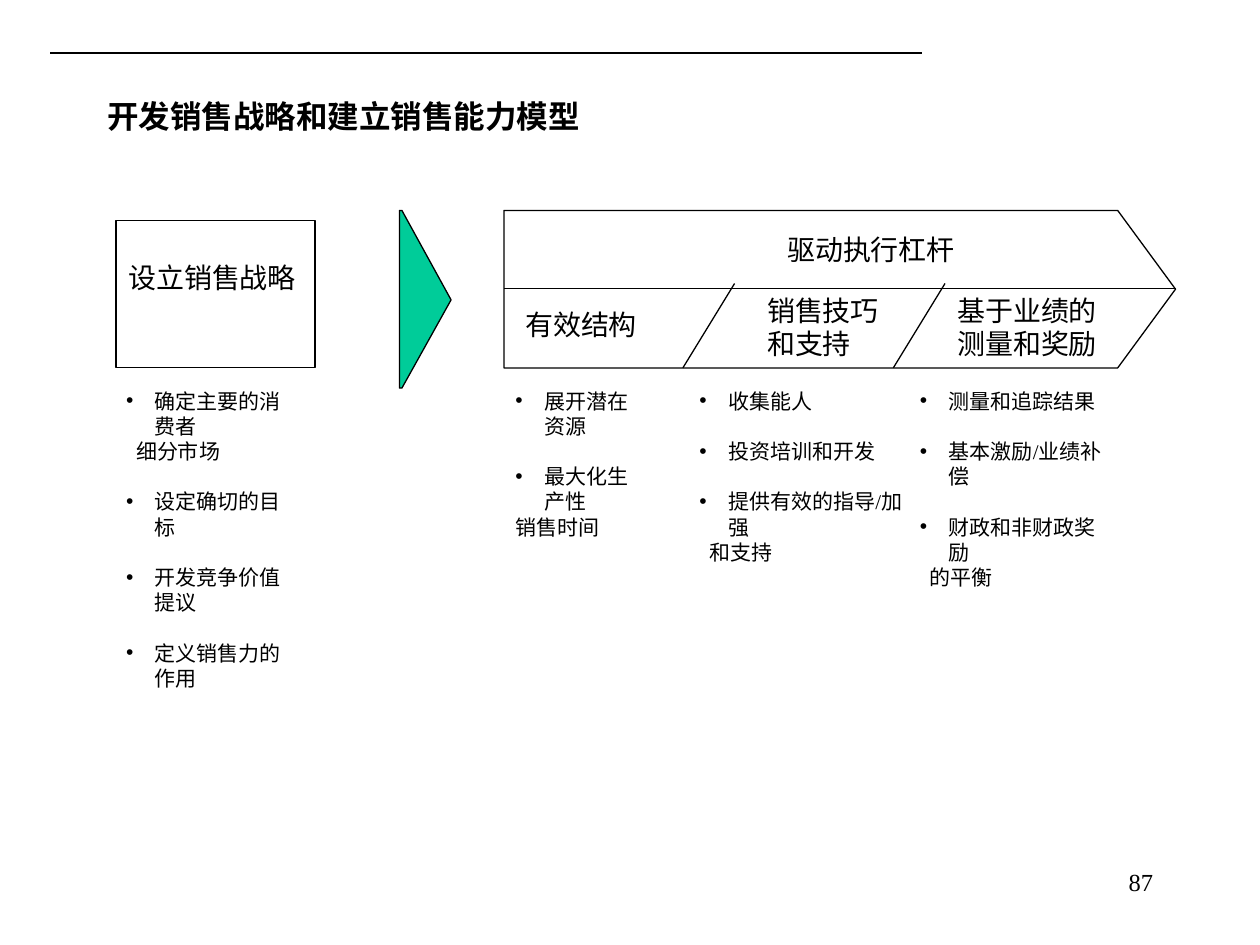
from dataclasses import dataclass

import pptx
import pptx.dml.color
import pptx.enum.shapes
import pptx.enum.text
import pptx.oxml.ns
import pptx.util
from lxml import etree

Inches, Pt = pptx.util.Inches, pptx.util.Pt
RGBColor = pptx.dml.color.RGBColor
MSO_SHAPE = pptx.enum.shapes.MSO_SHAPE
MSO_ANCHOR = pptx.enum.text.MSO_ANCHOR
PP_ALIGN = pptx.enum.text.PP_ALIGN
qn = pptx.oxml.ns.qn

BLACK = RGBColor(0x00, 0x00, 0x00)
GREEN = RGBColor(0x00, 0xCC, 0x99)
FONT = "Times New Roman"
LIST_TOP = 3.03
LIST_INDENT = 0.23


@dataclass
class Label:
    left: float
    top: float
    width: float
    height: float
    lines: list[str]


@dataclass
class BulletList:
    left: float
    width: float
    height: float
    items: list[tuple[str, str]]  # bullet text, continuation line
    hang: float = 0.08            # left margin of the continuation line


LABELS = [
    Label(6.15, 1.8, 1.6, 0.37, ["驱动执行杠杆"]),
    Label(4.07, 2.39, 1.15, 0.37, ["有效结构"]),
    Label(5.99, 2.28, 1.15, 0.64, ["销售技巧", "和支持"]),
    Label(7.5, 2.28, 1.4, 0.64, ["基于业绩的", "测量和奖励"]),
]
LISTS = [
    BulletList(0.9, 1.59, 2.5, [("确定主要的消费者", "细分市场"), ("设定确切的目标", ""),
                                ("开发竞争价值提议", ""), ("定义销售力的作用", "")]),
    BulletList(3.99, 1.26, 1.3, [("展开潜在资源", ""), ("最大化生产性", "销售时间")], hang=0),
    BulletList(5.45, 1.88, 1.5, [("收集能人", ""), ("投资培训和开发", ""),
                                 ("提供有效的指导/加强", "和支持")]),
    BulletList(7.2, 1.71, 1.7, [("测量和追踪结果", ""), ("基本激励/业绩补偿", ""),
                                ("财政和非财政奖励", "的平衡")]),
]


def place(sp, left: float, top: float, width: float, height: float) -> None:
    sp.left, sp.top = Inches(left), Inches(top)
    sp.width, sp.height = Inches(width), Inches(height)


def add_run(p, text: str, size: float, bold: bool = False) -> None:
    r = p.add_run()
    r.text = text
    r.font.name, r.font.size, r.font.bold = FONT, Pt(size), bold
    r.font.color.rgb = BLACK


def add_line(s, x1: float, y1: float, x2: float, y2: float, weight: float = 0.75) -> None:
    line = s.shapes.add_connector(pptx.enum.shapes.MSO_CONNECTOR.STRAIGHT,
                                  Inches(x1), Inches(y1), Inches(x2), Inches(y2))
    line.line.color.rgb, line.line.width = BLACK, Pt(weight)
    etree.SubElement(line._element.spPr, qn("a:effectLst"))


def outline(sp, fill: RGBColor | None = None) -> None:
    sp.shadow.inherit = False
    sp.line.color.rgb, sp.line.width = BLACK, Pt(0.75)
    if fill is None:
        sp.fill.background()
    else:
        sp.fill.solid()
        sp.fill.fore_color.rgb = fill


def add_label(s, label: Label, size: float = 16, align=PP_ALIGN.LEFT) -> None:
    sp = s.shapes.add_textbox(0, 0, 0, 0)
    place(sp, label.left, label.top, label.width, label.height)
    tf = sp.text_frame
    tf.word_wrap = True
    for i, text in enumerate(label.lines):
        p = tf.add_paragraph() if i else tf.paragraphs[0]
        p.alignment = align
        add_run(p, text, size)


def format_item(p, bullet: bool, margin: float, before: float) -> None:
    pPr = p._p.get_or_add_pPr()
    pPr.set("marL", str(Inches(margin)))
    pPr.set("indent", str(Inches(-margin if bullet else 0)))
    if bullet:
        etree.SubElement(pPr, qn("a:buChar")).set("char", "•")
    else:
        etree.SubElement(pPr, qn("a:buNone"))
    p.alignment = PP_ALIGN.LEFT
    p.space_before = Pt(before)


def fill_list(sp, column: BulletList) -> None:
    place(sp, column.left, LIST_TOP, column.width, column.height)
    tf = sp.text_frame
    tf.word_wrap = True
    tf.auto_size = pptx.enum.text.MSO_AUTO_SIZE.NONE
    tf.vertical_anchor = MSO_ANCHOR.TOP
    for i, (text, continuation) in enumerate(column.items):
        p = tf.add_paragraph() if i else tf.paragraphs[0]
        format_item(p, True, LIST_INDENT, 14.4 if i else 0)
        add_run(p, text, 12)
        if continuation:
            p = tf.add_paragraph()
            format_item(p, False, column.hang, 0)
            add_run(p, continuation, 12)


def main() -> None:
    prs = pptx.Presentation()
    prs.slide_width, prs.slide_height = Inches(10), Inches(7.5)
    s = prs.slides.add_slide(prs.slide_layouts.get_by_name("Comparison"))

    # Header rule and title
    add_line(s, 0.4, 0.42, 7.32, 0.42, 1.5)
    title = s.shapes.title
    place(title, 0.75, 0.42, 8.5, 1)
    title.text_frame.vertical_anchor = MSO_ANCHOR.MIDDLE
    p = title.text_frame.paragraphs[0]
    p.alignment = PP_ALIGN.LEFT
    add_run(p, "开发销售战略和建立销售能力模型", 18, bold=True)

    # Strategy box
    box = s.shapes.add_shape(MSO_SHAPE.RECTANGLE, 0, 0, 0, 0)
    place(box, 0.92, 1.75, 1.58, 1.17)
    outline(box)
    tf = box.text_frame
    tf.word_wrap = True
    tf.vertical_anchor = MSO_ANCHOR.TOP
    tf.margin_top = Inches(0.32)
    tf.margin_left = tf.margin_right = Inches(0.1)
    tf.paragraphs[0].alignment = PP_ALIGN.LEFT
    add_run(tf.paragraphs[0], "设立销售战略", 16)

    # Execution arrow with its dividers
    arrow = s.shapes.add_shape(MSO_SHAPE.RIGHT_ARROW, 0, 0, 0, 0)
    place(arrow, 4, 1.67, 5.33, 1.25)
    arrow.adjustments[0], arrow.adjustments[1] = 1, 0.367
    outline(arrow)
    add_line(s, 4, 2.29, 9.33, 2.29)
    for x in (5.83, 7.5):
        add_line(s, x, 2.25, x - 0.41, 2.92)

    # Green pointer between the two parts
    points = [(3.17, 1.67), (3.19, 1.67), (3.58, 2.38), (3.19, 3.08), (3.17, 3.08)]
    corners = [(Inches(x), Inches(y)) for x, y in points]
    builder = s.shapes.build_freeform(*corners[0])
    builder.add_line_segments(corners[1:], close=True)
    outline(builder.convert_to_shape(), GREEN)

    # Labels and lists
    for label in LABELS:
        add_label(s, label)
    bodies = [sp for sp in s.placeholders if sp.placeholder_format.idx > 0]
    for sp, column in zip(bodies, LISTS):
        fill_list(sp, column)

    # Page number
    add_label(s, Label(7.17, 6.83, 2.08, 0.5, ["87"]), 14, PP_ALIGN.RIGHT)

    prs.save("out.pptx")


if __name__ == "__main__":
    main()
